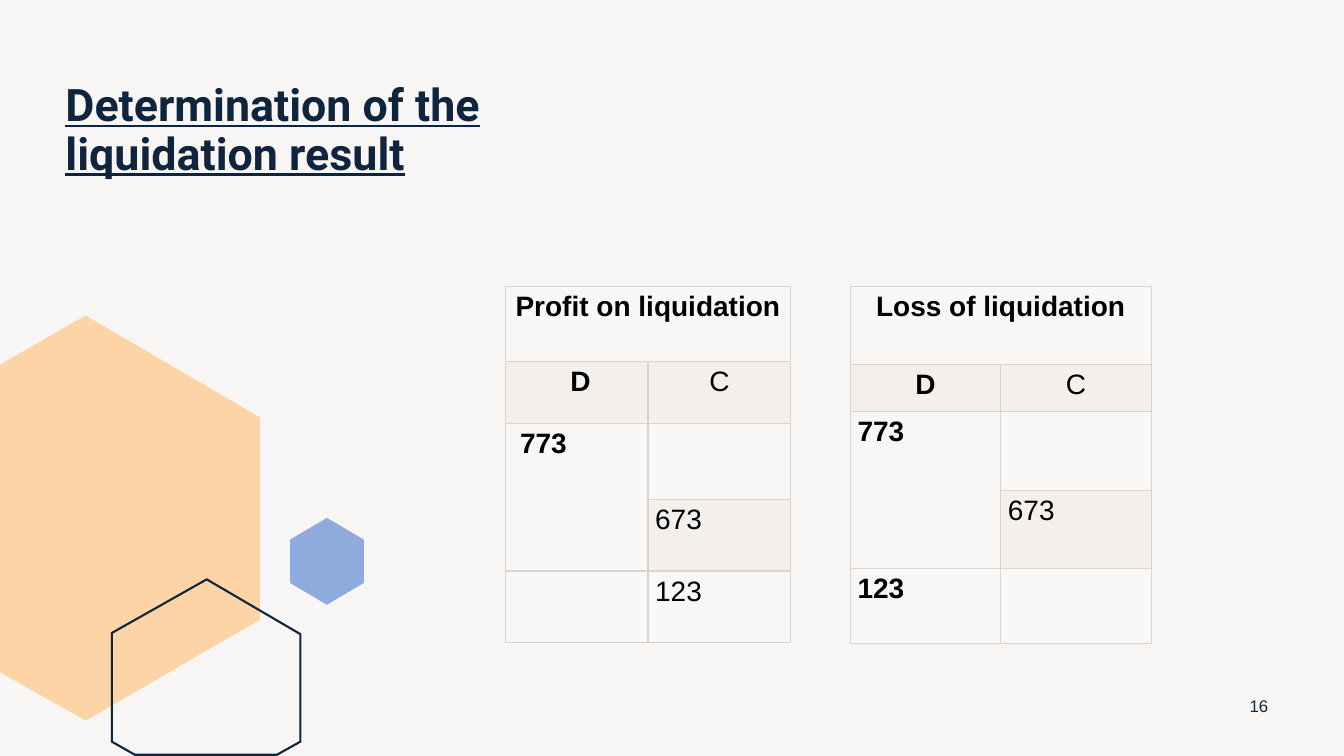
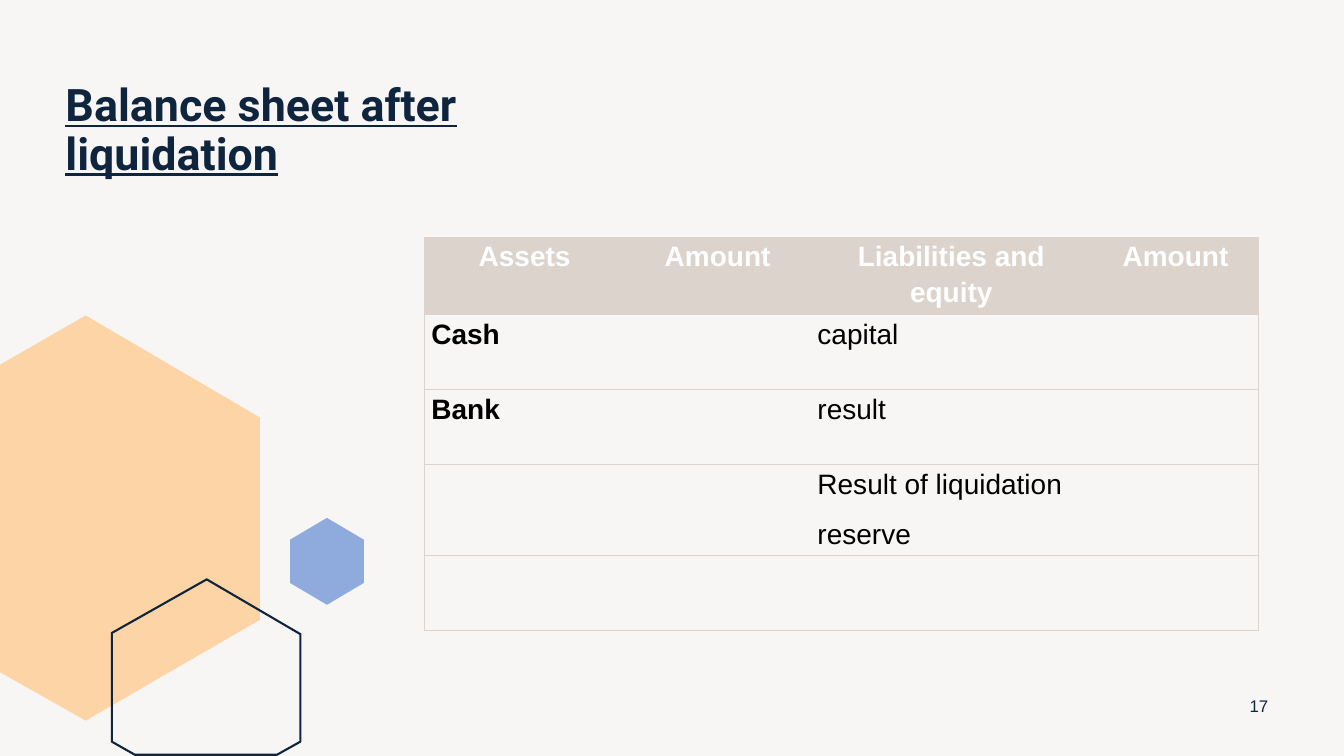
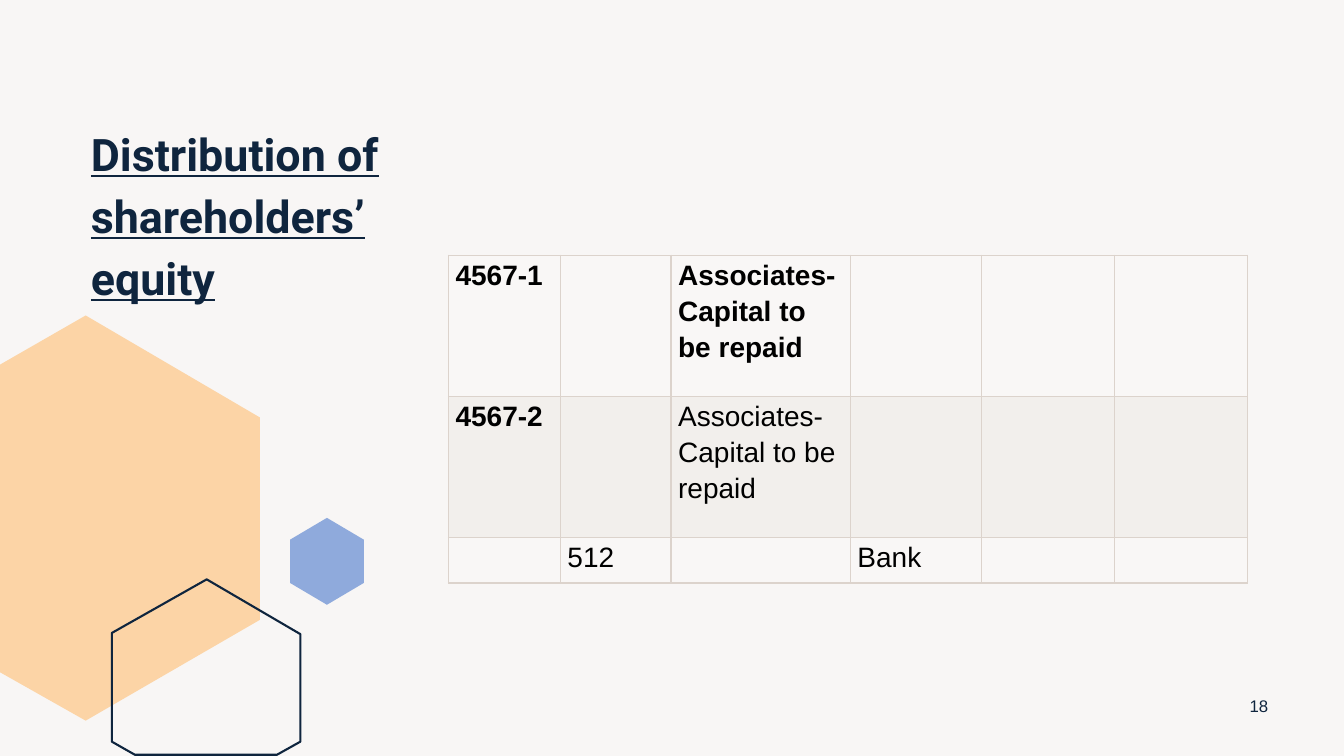
from lxml.etree import SubElement
from pptx import Presentation
from pptx.dml.color import RGBColor
from pptx.enum.text import MSO_ANCHOR, PP_ALIGN
from pptx.oxml.ns import qn
from pptx.util import Cm, Pt

NAVY = RGBColor(0x0F, 0x25, 0x3E)
PEACH = RGBColor(0xFC, 0xD4, 0xA6)
BLUE = RGBColor(0x8F, 0xAA, 0xDC)
BEIGE = RGBColor(0xDC, 0xD3, 0xCC)
BACKGROUND = RGBColor(0xF8, 0xF6, 0xF5)
BAND_LIGHT = RGBColor(0xF9, 0xF7, 0xF6)
BAND_DARK = RGBColor(0xF2, 0xEF, 0xEC)
BLACK = RGBColor(0x00, 0x00, 0x00)
WHITE = RGBColor(0xFF, 0xFF, 0xFF)

HEXAGONS = [
    {"fill": PEACH, "points": [(2.16, 7.95), (6.55, 10.52), (6.55, 15.62),
                               (2.16, 18.16), (0, 16.94), (0, 9.19)]},
    {"line": NAVY, "points": [(5.21, 14.6), (7.57, 15.98), (7.57, 18.69), (6.98, 19.02),
                              (3.4, 19.02), (2.82, 18.69), (2.82, 15.95)]},
    {"fill": BLUE, "points": [(8.24, 13.05), (7.31, 13.6), (7.31, 14.69),
                              (8.24, 15.24), (9.17, 14.69), (9.17, 13.6)]},
]

TITLE = {"margin_top": 0.13, "margin_left": 0.25, "line_spacing": 0.9}
INDENTED_TITLE = {"margin_top": 1.04, "margin_left": 0.89, "line_spacing": 1.15}

FIRST_NUMBER = 16
SLIDES = [
    {
        "title": "Determination of the liquidation result",
        "title_style": TITLE,
        "tables": [
            {
                "left": 12.73, "top": 7.21,
                "columns": [3.6, 3.6],
                "rows": [1.9, 1.57, 1.9, 1.81, 1.81],
                "cells": [["Profit on liquidation", ""], [" D", "C"], [" 773", ""],
                          ["", "673"], ["", "123"]],
                "centred_rows": 2,
                "merges": [(0, 0, 0, 1), (2, 0, 3, 0)],
            },
            {
                "left": 21.43, "top": 7.21,
                "columns": [3.79, 3.79],
                "rows": [1.98, 1.18, 1.98, 1.98, 1.88],
                "cells": [["Loss of liquidation", ""], ["D", "C"], ["773", ""],
                          ["", "673"], ["123", ""]],
                "centred_rows": 2,
                "merges": [(0, 0, 0, 1), (2, 0, 3, 0)],
            },
        ],
    },
    {
        "title": "Balance sheet after liquidation",
        "title_style": TITLE,
        "tables": [
            {
                "left": 10.69, "top": 5.97,
                "columns": [5.26, 4.47, 7.11, 4.19],
                "rows": [1.89, 1.89, 1.89, 2.17, 1.89],
                "cells": [["Assets ", "Amount ", "Liabilities and equity", "Amount"],
                          ["Cash", "", "capital", ""],
                          ["Bank", "", "result", ""],
                          ["", "", "Result of liquidation\nreserve", ""],
                          ["", "", "", ""]],
                "centred_rows": 1,
                "ledger": True,
            },
        ],
    },
    {
        "title": "Distribution of shareholders’ equity",
        "title_style": INDENTED_TITLE,
        "tables": [
            {
                "left": 11.3, "top": 6.43,
                "columns": [2.82, 2.79, 4.52, 3.3, 3.35, 3.35],
                "rows": [3.56, 3.56, 1.14],
                "cells": [["4567-1", "", "Associates- Capital to be repaid", "", "", ""],
                          ["4567-2", "", "Associates- Capital to be repaid", "", "", ""],
                          ["", "512", "", "Bank", "", ""]],
            },
        ],
    },
]


def format_runs(paragraph, font_name, size, color, bold=False, underline=False):
    for run in paragraph.runs:
        run.font.name = font_name
        run.font.size = Pt(size)
        run.font.color.rgb = color
        run.font.bold = bold
        run.font.underline = underline


def add_hexagon(slide, hexagon):
    points = [(Cm(x), Cm(y)) for x, y in hexagon["points"]]
    builder = slide.shapes.build_freeform(*points[0])
    builder.add_line_segments(points[1:], close=True)
    shape = builder.convert_to_shape()
    shape.shadow.inherit = False
    if "fill" in hexagon:
        shape.fill.solid()
        shape.fill.fore_color.rgb = hexagon["fill"]
        shape.line.fill.background()
    else:
        shape.fill.background()
        shape.line.color.rgb = hexagon["line"]
        shape.line.width = Pt(1.5)


def add_title(slide, text, style):
    shape = slide.shapes.add_textbox(Cm(1.4), Cm(1.96), Cm(11.1), Cm(6.32))
    text_frame = shape.text_frame
    text_frame.word_wrap = True
    text_frame.margin_top = Cm(style["margin_top"])
    text_frame.margin_left = Cm(style["margin_left"])
    text_frame.text = text
    paragraph = text_frame.paragraphs[0]
    paragraph.line_spacing = style["line_spacing"]
    format_runs(paragraph, "Roboto", 32, NAVY, bold=True, underline=True)


def add_slide_number(slide, number):
    shape = slide.shapes.add_textbox(Cm(31.09), Cm(17.27), Cm(1.27), Cm(1.02))
    text_frame = shape.text_frame
    text_frame.word_wrap = True
    text_frame.vertical_anchor = MSO_ANCHOR.MIDDLE
    text_frame.text = str(number)
    paragraph = text_frame.paragraphs[0]
    paragraph.alignment = PP_ALIGN.CENTER
    format_runs(paragraph, "Arial", 12, NAVY)


def set_borders(cell, sides, width):
    properties = cell._tc.get_or_add_tcPr()
    for side in "LRTB":
        border = SubElement(properties, qn(f"a:ln{side}"), w=str(Pt(width)))
        if side in sides:
            fill = SubElement(border, qn("a:solidFill"))
            SubElement(fill, qn("a:srgbClr"), val=str(BEIGE))
        else:
            SubElement(border, qn("a:noFill"))


def set_fill(cell, color):
    if color is None:
        cell.fill.background()
    else:
        cell.fill.solid()
        cell.fill.fore_color.rgb = color


def set_cell_text(cell, text, color, bold, centred):
    cell.margin_left = cell.margin_right = Cm(0.18)
    cell.margin_top = cell.margin_bottom = 0
    cell.text_frame.text = text
    for paragraph in cell.text_frame.paragraphs:
        paragraph.alignment = PP_ALIGN.CENTER if centred else PP_ALIGN.LEFT
        paragraph.line_spacing = 1.15
        paragraph.space_after = Pt(10)
        format_runs(paragraph, "Arial", 20, color, bold=bold)


def add_data_table(slide, data):
    columns, rows = data["columns"], data["rows"]
    ledger = data.get("ledger", False)
    table = slide.shapes.add_table(
        len(rows), len(columns), Cm(data["left"]), Cm(data["top"]),
        Cm(sum(columns)), Cm(sum(rows))).table
    table.first_row = table.horz_banding = False
    for column, width in zip(table.columns, columns):
        column.width = Cm(width)
    for row, height in zip(table.rows, rows):
        row.height = Cm(height)
    for top, left, bottom, right in data.get("merges", []):
        table.cell(top, left).merge(table.cell(bottom, right))

    for row, texts in enumerate(data["cells"]):
        for column, text in enumerate(texts):
            cell = table.cell(row, column)
            header = ledger and row == 0
            if ledger:
                left = "L" if column == 0 else ""
                right = "R" if column == len(columns) - 1 else ""
                set_borders(cell, "TB" + left + right, 0.5)
                set_fill(cell, BEIGE if header else None)
            else:
                set_borders(cell, "LRTB", 1)
                set_fill(cell, BAND_DARK if row % 2 else BAND_LIGHT)
            if text:
                set_cell_text(cell, text, WHITE if header else BLACK,
                              bold=row == 0 or column == 0,
                              centred=row < data.get("centred_rows", 0))


def main():
    presentation = Presentation()
    presentation.slide_width, presentation.slide_height = Cm(33.87), Cm(19.05)
    background = presentation.slide_master.background.fill
    background.solid()
    background.fore_color.rgb = BACKGROUND
    for number, content in enumerate(SLIDES, FIRST_NUMBER):
        slide = presentation.slides.add_slide(presentation.slide_layouts[6])
        for hexagon in HEXAGONS:
            add_hexagon(slide, hexagon)
        add_title(slide, content["title"], content["title_style"])
        add_slide_number(slide, number)
        for data in content["tables"]:
            add_data_table(slide, data)
    presentation.save("out.pptx")


if __name__ == "__main__":
    main()
